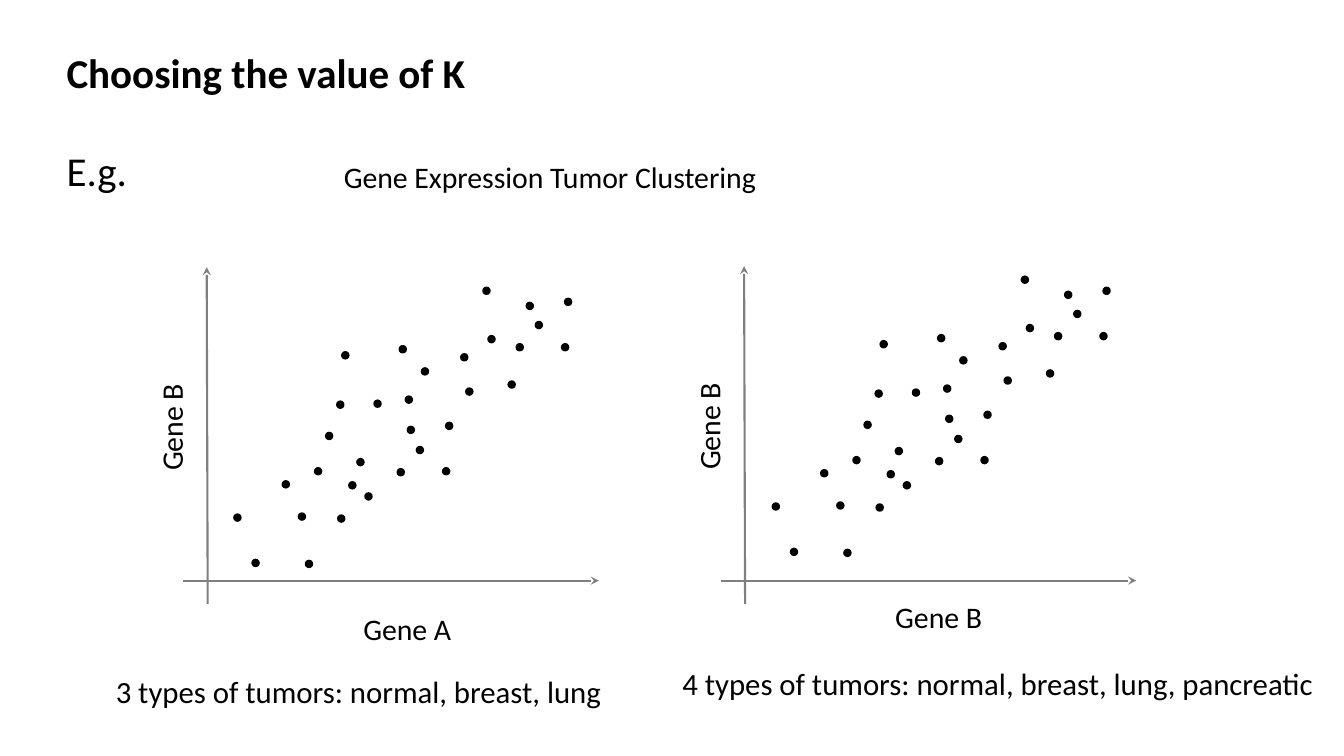
import pptx
import pptx.util
import pptx.dml.color
import pptx.enum.shapes
import pptx.enum.text
import pptx.oxml.ns
from lxml import etree

COLS, ROWS = 1333, 750
DOT = 7
BLACK, GRAY = "000000", "7F7F7F"
TUMORS = [
    (114, 244), (260, 154), (141, 164), (257, 199), (130, 199), (231, 178),
    (280, 120), (236, 100), (302, 68), (189, 132), (153, 246), (172, 190),
    (164, 213), (68, 290), (121, 291), (98, 212), (180, 224), (50, 245),
    (152, 133), (222, 158), (214, 78), (220, 128), (157, 84), (212, 200),
    (297, 20), (275, 86), (322, 113), (378, 31), (375, 76), (349, 54),
    (340, 35), (330, 76),
]

prs = pptx.Presentation()
prs.slide_width = pptx.util.Inches(13.33)
prs.slide_height = pptx.util.Inches(7.5)


def rgb(color):
    return pptx.dml.color.RGBColor.from_string(color)


def grid(*lengths):
    sizes = (prs.slide_width / COLS, prs.slide_height / ROWS)
    return [round(n * sizes[i % 2]) for i, n in enumerate(lengths)]


def move(sp, box):
    sp.left, sp.top, sp.width, sp.height = grid(*box)


def put_text(sp, text, size=21.3, bold=False, align="LEFT", color=BLACK):
    tf = sp.text_frame
    tf.word_wrap = True
    tf.auto_size = pptx.enum.text.MSO_AUTO_SIZE.SHAPE_TO_FIT_TEXT
    tf.vertical_anchor = pptx.enum.text.MSO_ANCHOR.TOP
    p = tf.paragraphs[0]
    p.alignment = pptx.enum.text.PP_ALIGN[align]
    p.space_before = pptx.util.Pt(0)
    r = p.add_run()
    r.text = text
    r.font.name = "Calibri"
    r.font.size = pptx.util.Pt(size)
    r.font.bold = bold
    r.font.color.rgb = rgb(color)
    return p


def add_label(s, box, text, rotation=0, **fmt):
    sp = s.shapes.add_textbox(*grid(*box))
    sp.rotation = rotation
    put_text(sp, text, **fmt)


def add_axis(s, start, end):
    line = s.shapes.add_connector(
        pptx.enum.shapes.MSO_CONNECTOR.STRAIGHT, *grid(*start, *end))
    line.line.color.rgb = rgb(GRAY)
    line.line.width = pptx.util.Pt(1.5)
    qn = pptx.oxml.ns.qn
    etree.SubElement(line.line._get_or_add_ln(), qn("a:tailEnd"), type="stealth")
    etree.SubElement(line._element.spPr, qn("a:effectLst"))


def add_dot(s, x, y):
    sp = s.shapes.add_shape(
        pptx.enum.shapes.MSO_SHAPE.OVAL, *grid(x, y, DOT, DOT))
    sp.shadow.inherit = False
    sp.fill.solid()
    sp.fill.fore_color.rgb = rgb(BLACK)
    sp.line.color.rgb = rgb(BLACK)
    sp.line.width = pptx.util.Pt(1)


def add_heading(s, box):
    left, top, width, height = box
    title, body = s.placeholders
    move(title, box)
    put_text(title, "Choosing the value of K", size=29.3, bold=True)
    move(body, (left, top + 97, width, height))
    pPr = put_text(body, "E.g.", size=29.3)._p.get_or_add_pPr()
    pPr.set("marL", "0")
    pPr.set("indent", "0")
    etree.SubElement(pPr, pptx.oxml.ns.qn("a:buNone"))
    add_label(s, (left + 268, top + 111, 443, 46),
              "Gene Expression Tumor Clustering", align="CENTER")


def add_scatter(s, box, x_title, x_title_at, dot_shift):
    left, top, width, height = box
    base = top + height - 23
    add_axis(s, (left + 24, top + height), (left + 23, top))
    add_axis(s, (left, base), (left + width, base))
    for x, y in TUMORS:
        add_dot(s, left + x + dot_shift[0], top + y + dot_shift[1])
    dx, dy = x_title_at
    add_label(s, (left + dx, top + dy, 174, 46), x_title, align="CENTER")
    add_label(s, (left - 121, top + 136, 218, 46), "Gene B",
              rotation=270, align="CENTER")


def main():
    s = prs.slides.add_slide(prs.slide_layouts[1])
    add_heading(s, (56, 42, 1211, 59))
    add_scatter(s, (182, 265, 412, 334), "Gene A", (135, 336), (0, 0))
    add_scatter(s, (715, 264, 412, 335), "Gene B", (129, 325), (1, -10))
    add_label(s, (105, 662, 507, 47),
              "3 types of tumors: normal, breast, lung", size=22)
    add_label(s, (667, 655, 653, 47),
              "4 types of tumors: normal, breast, lung, pancreatic", size=22)
    prs.save("out.pptx")


if __name__ == "__main__":
    main()
